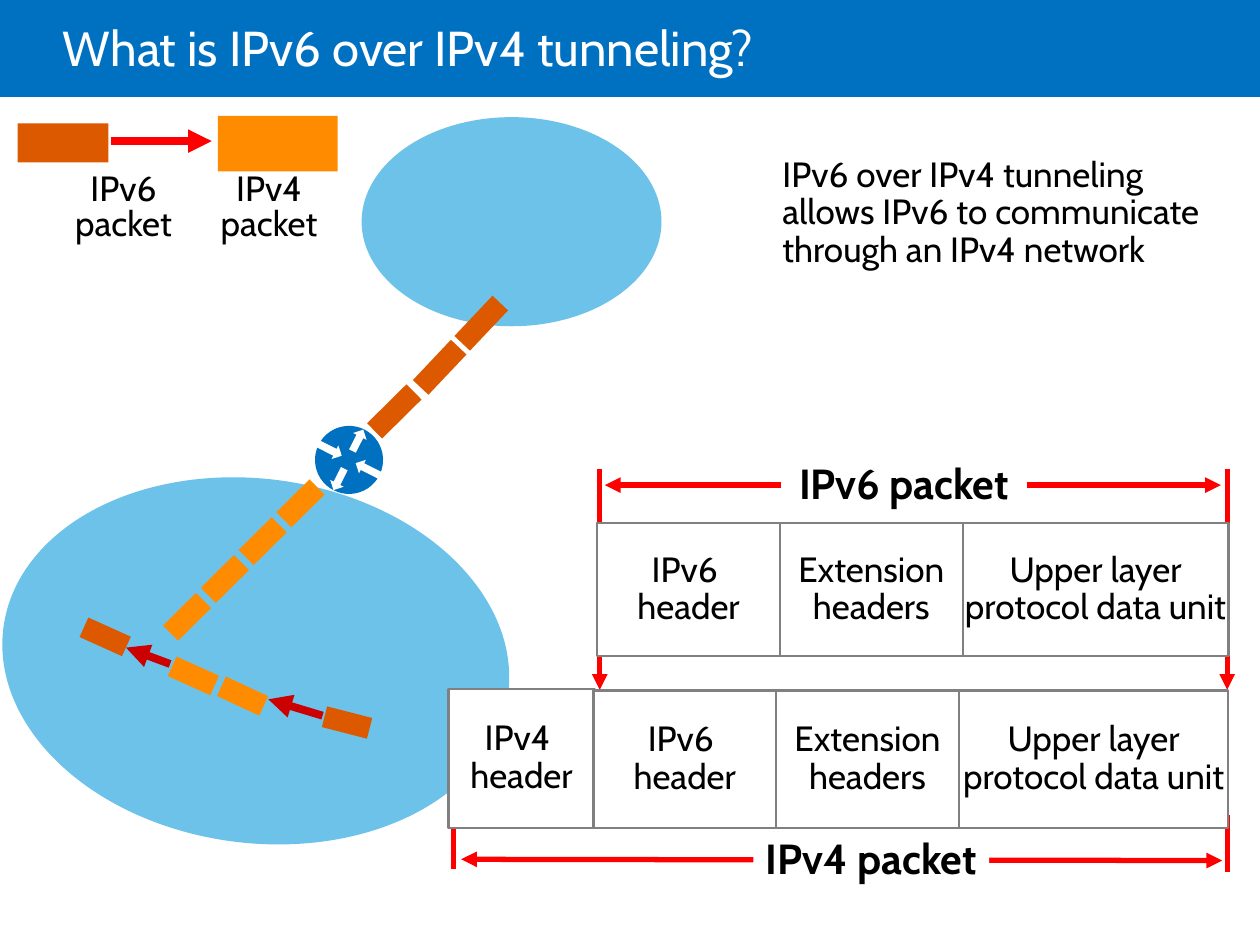
import pptx
import pptx.util
import pptx.dml.color
import pptx.enum.shapes
import pptx.enum.text
import pptx.oxml.xmlchemy

HUES = {
    "blue": "0070C0", "sky": "6DC2E9", "brown": "DD5900", "gold": "FF8C00",
    "red": "FF0000", "dark": "CC0000", "gray": "808080",
    "white": "FFFFFF", "black": "000000",
}
KIND = pptx.enum.shapes.MSO_SHAPE
ALIGN = pptx.enum.text.PP_ALIGN
ANCHOR = pptx.enum.text.MSO_ANCHOR
COLS, ROWS = 100, 75

deck = pptx.Presentation()
deck.slide_width = pptx.util.Inches(10)
deck.slide_height = pptx.util.Inches(7.5)
slide = deck.slides.add_slide(deck.slide_layouts[6])


def hue(name):
    return pptx.dml.color.RGBColor.from_string(HUES[name])


def place(box, x, y):
    return (round((box[0] + x) * deck.slide_width / COLS),
            round((box[1] + y) * deck.slide_height / ROWS))


def span(w, h):
    return place((0, 0), w, h)


def shape(box, x, y, w, h, fill=None, kind=KIND.RECTANGLE, turn=0, edge=None):
    part = slide.shapes.add_shape(kind, *place(box, x, y), *span(w, h))
    part.shadow.inherit = False
    part.rotation = turn
    if fill:
        part.fill.solid()
        part.fill.fore_color.rgb = hue(fill)
    else:
        part.fill.background()
    if edge:
        part.line.color.rgb = hue(edge)
        part.line.width = pptx.util.Pt(1.25)
    else:
        part.line.fill.background()
    return part


def write(part, text, size=20, tone="black", bold=False, align=ALIGN.CENTER,
          anchor=ANCHOR.MIDDLE, space=0.9, wrap=True):
    frame = part.text_frame
    frame.text = text
    frame.word_wrap = wrap
    frame.vertical_anchor = anchor
    frame.margin_left = frame.margin_right = 0
    frame.margin_top = frame.margin_bottom = 0
    for para in frame.paragraphs:
        para.alignment = align
        para.line_spacing = space
        for run in para.runs:
            run.font.name = "Cabin"
            run.font.size = pptx.util.Pt(size)
            run.font.bold = bold
            run.font.color.rgb = hue(tone)


def label(box, x, y, w, h, text, **style):
    part = slide.shapes.add_textbox(*place(box, x, y), *span(w, h))
    write(part, text, **style)


def line(box, start, end, tone="red", width=3, heads=()):
    part = slide.shapes.add_connector(
        pptx.enum.shapes.MSO_CONNECTOR.STRAIGHT,
        *place(box, *start), *place(box, *end))
    part.line.color.rgb = hue(tone)
    part.line.width = pptx.util.Pt(width)
    stroke = part.line._get_or_add_ln()
    for head in heads:
        tip = pptx.oxml.xmlchemy.OxmlElement("a:" + head)
        tip.set("type", "triangle")
        stroke.append(tip)
    part._element.spPr.append(pptx.oxml.xmlchemy.OxmlElement("a:effectLst"))


def header(box):
    shape(box, 0, 0, box[2], box[3], "blue")
    label(box, 5, 0, 85, 8.1, "What is IPv6 over IPv4 tunneling?",
          size=28, tone="white", align=ALIGN.LEFT, space=0.85)


def legend(box):
    shape(box, 0, 0.6, 7.2, 3.1, "brown")
    shape(box, 15.9, 0, 9.5, 4.4, "gold")
    line(box, (7.4, 2), (15.4, 2), width=4.5, heads=["tailEnd"])
    for x, w, text in [(3.3, 10.2, "IPv6 packet"), (15.2, 9.5, "IPv4 packet")]:
        label(box, x, 4.5, w, 5.7, text, anchor=ANCHOR.TOP, space=0.85)


def router(box):
    tilt = 26.8
    shape(box, 0, 0, box[2], box[3], "blue", KIND.OVAL, tilt)
    for x, y, h, turn in [(1.3, 3.3, 1.9, 0), (2.8, 0.2, 1.9, 180),
                          (3.7, 2.3, 2.4, 90), (0.5, 0.7, 2.3, 270)]:
        shape(box, x, y, 1.2, h, "white", KIND.DOWN_ARROW, tilt + turn)


def clouds(box):
    shape(box, 0.1, 29, 40.4, 28.9, "sky", KIND.OVAL, 7.6)
    shape(box, 28.7, 0.3, 23.8, 16.6, "sky", KIND.OVAL)
    for start, end in [((13.5, 43.7), (10, 42.4)), ((25.6, 47.8), (21.3, 46.5))]:
        line(box, start, end, "dark", 4.5, ["tailEnd"])
    router((box[0] + 25, box[1] + 24.8, 5.4, 5.4))
    for x, y, turn in [(36, 15.8, 313.4), (32.7, 19.3, 313.4), (29.1, 22.8, 315.3)]:
        shape(box, x, y, 4.4, 1.7, "brown", turn=turn)
    for step in range(4):
        shape(box, 22 - 3 * step, 30.1 + 3 * step, 3.7, 1.7, "gold", turn=315.3)
    for x, y, fill, turn in [(13.5, 43.8, "gold", 24.3), (17.4, 45.4, "gold", 24.9),
                             (6.5, 40.7, "brown", 24.3), (25.7, 47.5, "brown", 14.4)]:
        shape(box, x, y, 3.7, 1.7, fill, turn=turn)


def note(box):
    part = shape(box, 0, 0, box[2], box[3], kind=KIND.ROUNDED_RECTANGLE)
    part.adjustments[0] = 0.06
    write(part, "IPv6 over IPv4 tunneling allows IPv6 to communicate "
                "through an IPv4 network", align=ALIGN.LEFT)


def fields(box):
    x, w = 0, 14.5
    for text in ("IPv6 \nheader", "Extension headers"):
        write(shape(box, x, 0, w, box[3], "white", edge="gray"), text)
        x += w
    write(shape(box, x, 0, box[2] - x, box[3], "white", edge="gray"),
          "Upper layer protocol data unit")


def extent(box, start, end, x, y, w, text):
    line(box, start, end, heads=["headEnd", "tailEnd"])
    write(shape(box, x, y, w, 4, "white"), text, size=24, bold=True,
          anchor=ANCHOR.TOP, space=1)


def packets(box):
    left, top = box[:2]
    line(box, (0.4, 28.2), (0.4, 33))
    line(box, (61.8, 28.7), (61.8, 33.2))
    for x in (12, 61.8):
        line(box, (x, 1.2), (x, 18.75), heads=["tailEnd"])
    write(shape(box, 0, 18.7, 11.6, 11, "white", edge="gray"),
          "IPv4 \vheader", wrap=False)
    fields((left + 11.5, top + 18.8, 50.4, 10.9))
    fields((left + 11.8, top + 5.5, 50.1, 10.6))
    extent(box, (1, 32.2), (61.4, 32.3), 24.2, 30.1, 18.7, "IPv4 packet")
    extent(box, (12.4, 2.5), (61.3, 2.5), 26.4, 0.3, 19.5, "IPv6 packet")


header((0, 0, COLS, 7.7))
clouds((0, 9, 53, 58))
legend((1.4, 9.2, 25.4, 10.2))
note((61.7, 5.7, 35.9, 22.5))
packets((35.6, 36, 62, 34))
deck.save("out.pptx")
